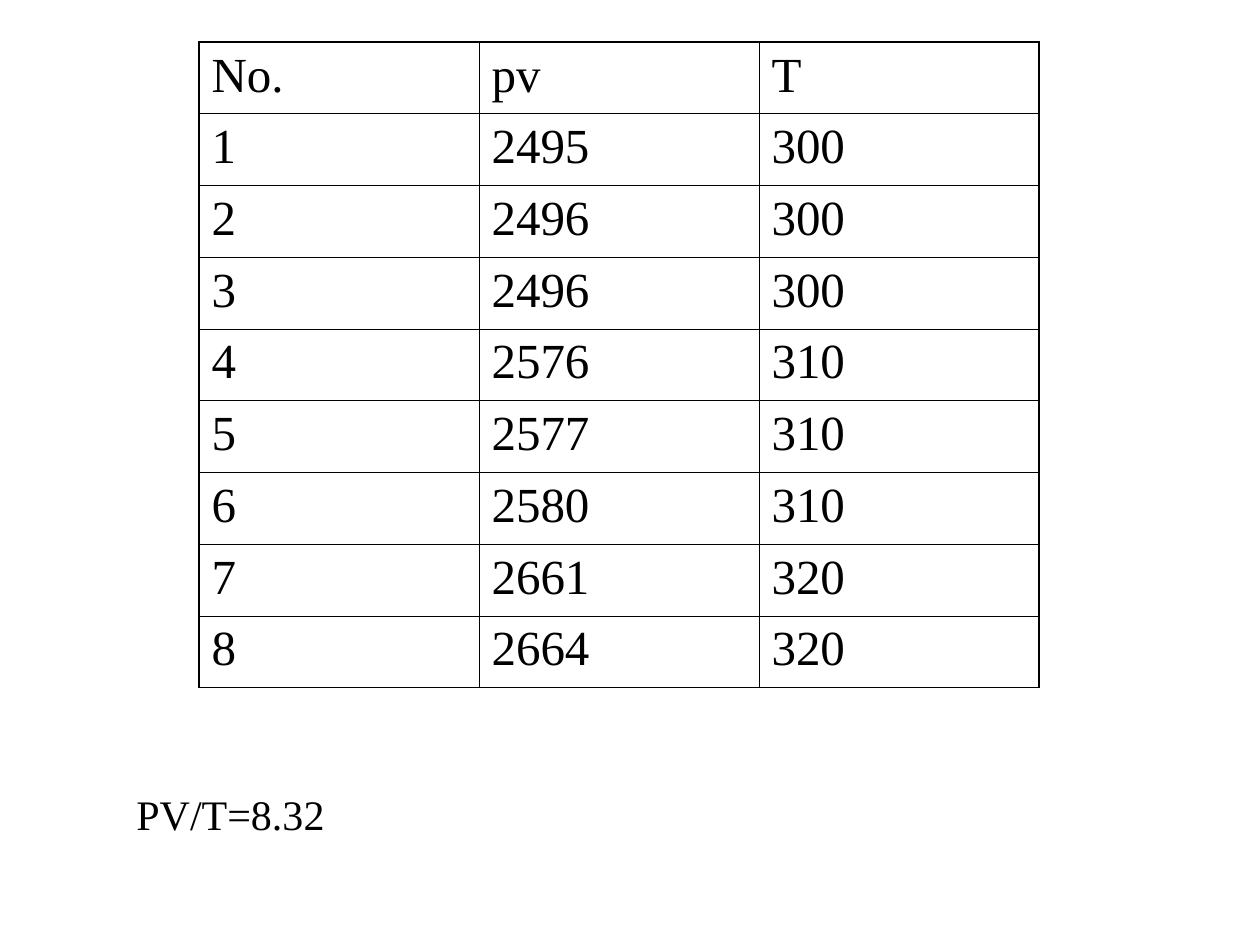
from lxml import etree
from pptx import Presentation
from pptx import util as u
from pptx.dml.color import RGBColor
from pptx.enum import text
from pptx.oxml import ns

PX = u.Inches(1) / 126
BLACK = RGBColor(0, 0, 0)
FONT = "Times New Roman"
OUTER, INNER = 1.08, 0.45

MEASUREMENTS = [
    ("No.", "pv", "T"),
    ("1", "2495", "300"),
    ("2", "2496", "300"),
    ("3", "2496", "300"),
    ("4", "2576", "310"),
    ("5", "2577", "310"),
    ("6", "2580", "310"),
    ("7", "2661", "320"),
    ("8", "2664", "320"),
]


def emu(*lengths):
    return [u.Emu(round(length * PX)) for length in lengths]


def add_text(paragraph, wording, size):
    run = paragraph.add_run()
    run.text = wording
    run.font.name = FONT
    run.font.size = u.Pt(size)
    run.font.color.rgb = BLACK


def set_borders(cell, widths):
    """Draw cell borders; widths are points for left, right, top and bottom."""
    properties = cell._tc.get_or_add_tcPr()
    for position, (side, width) in enumerate(zip("LRTB", widths)):
        line = etree.Element(ns.qn(f"a:ln{side}"), w=str(u.Pt(width)))
        fill = etree.SubElement(line, ns.qn("a:solidFill"))
        etree.SubElement(fill, ns.qn("a:srgbClr"), val=str(BLACK))
        properties.insert(position, line)


def measurement_table(slide, box):
    last_row, last_column = len(MEASUREMENTS) - 1, len(MEASUREMENTS[0]) - 1
    table = slide.shapes.add_table(last_row + 1, last_column + 1, *emu(*box)).table
    table.first_row = table.horz_banding = False
    for row, values in enumerate(MEASUREMENTS):
        for column, value in enumerate(values):
            cell = table.cell(row, column)
            cell.fill.background()
            paragraph = cell.text_frame.paragraphs[0]
            paragraph.space_before = u.Pt(7)
            add_text(paragraph, value, 28)
            on_edge = (column == 0, column == last_column, row == 0, row == last_row)
            set_borders(cell, [OUTER if edge else INNER for edge in on_edge])


def ratio_note(slide, box):
    frame = slide.shapes.add_textbox(*emu(*box)).text_frame
    frame.word_wrap = False
    frame.auto_size = text.MSO_AUTO_SIZE.SHAPE_TO_FIT_TEXT
    add_text(frame.paragraphs[0], "PV/T=8.32", 24)


def main():
    deck = Presentation()
    deck.slide_width, deck.slide_height = emu(1260, 945)
    slide = deck.slides.add_slide(deck.slide_layouts[6])
    measurement_table(slide, (199, 42, 840, 646))
    ratio_note(slide, (124, 782, 213, 63))
    deck.save("out.pptx")


if __name__ == "__main__":
    main()
